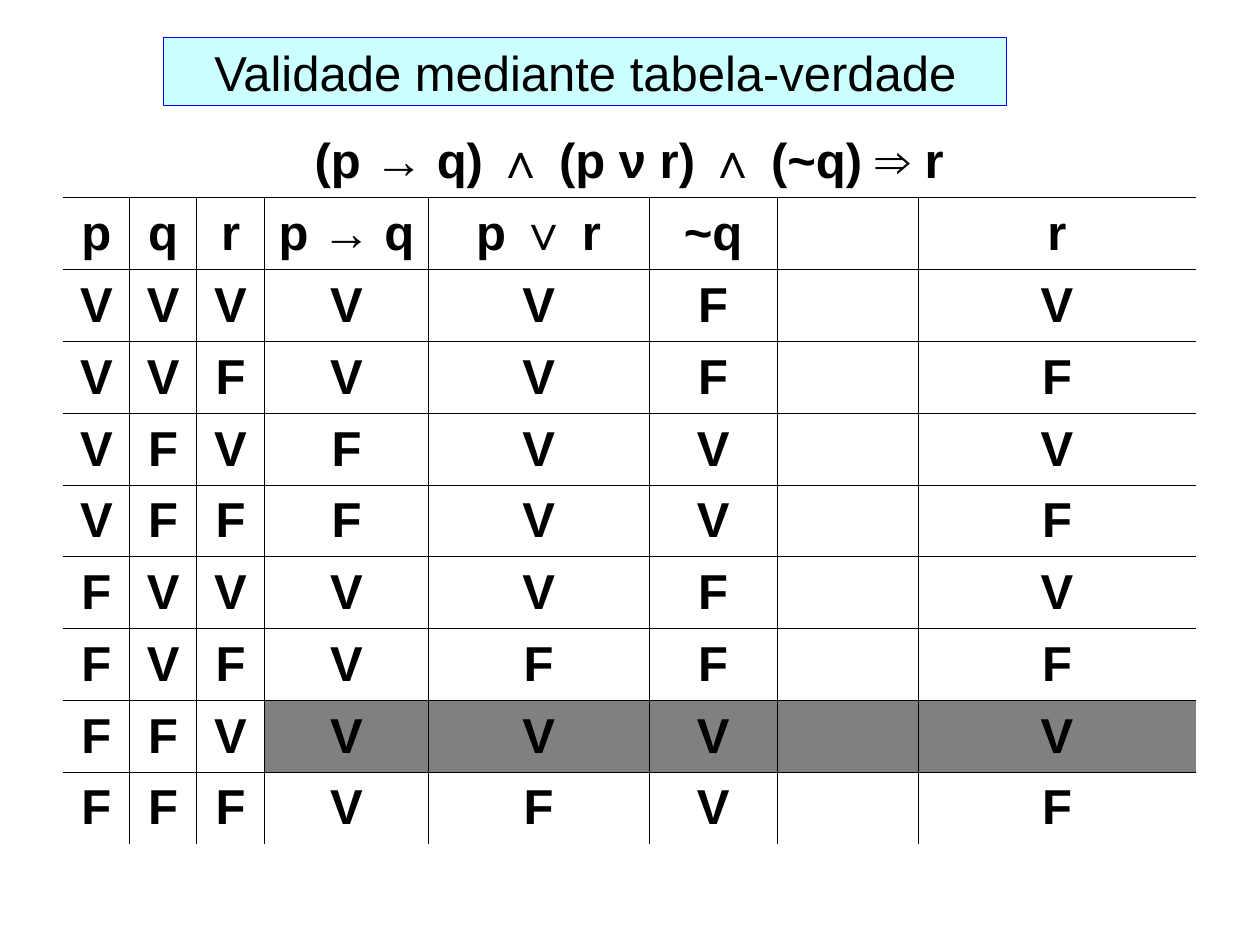
"""Build a slide that checks an argument's validity with a truth table."""
from collections.abc import Callable
from dataclasses import dataclass
from itertools import product

from lxml import etree
from pptx import Presentation
from pptx import util as u
from pptx.dml.color import RGBColor
from pptx.enum import text
from pptx.oxml import ns

BLACK = RGBColor(0x00, 0x00, 0x00)
WHITE = RGBColor(0xFF, 0xFF, 0xFF)
GRAY = RGBColor(0x80, 0x80, 0x80)
BLUE = RGBColor(0x00, 0x00, 0xFF)
CYAN = RGBColor(0xCC, 0xFF, 0xFF)
FONT = "Arial"
ROW_HEIGHT = 0.57
FORMULA = "(p → q) ∧ (p ν r) ∧ (~q) ⇒ r"


@dataclass(frozen=True)
class Column:
    header: str
    width: float
    rule: Callable[[bool, bool, bool], bool] | None
    fill: RGBColor | None = None


COLUMNS = [
    Column("p", 0.53, lambda p, q, r: p),
    Column("q", 0.53, lambda p, q, r: q),
    Column("r", 0.54, lambda p, q, r: r),
    Column("p → q", 1.3, lambda p, q, r: not p or q),
    Column("p ∨ r", 1.75, lambda p, q, r: p or r, WHITE),
    Column("~q", 1.02, lambda p, q, r: not q),
    Column("", 1.12, None),
    Column("r", 2.2, lambda p, q, r: r, WHITE),
]
VALUES = list(product((True, False), repeat=3))
PREMISES = COLUMNS[3:6]


def style_text(tf, wording: str, bold: bool) -> None:
    p = tf.paragraphs[0]
    p.text = wording
    p.alignment = text.PP_ALIGN.CENTER
    p.font.name = FONT
    p.font.size = u.Pt(28)
    p.font.bold = bold
    p.font.color.rgb = BLACK


def add_border(cell, side: str, visible: bool) -> None:
    ln = etree.SubElement(cell._tc.get_or_add_tcPr(), ns.qn(f"a:ln{side}"))
    ln.set("w", str(u.Pt(0.45)))
    if visible:
        fill = etree.SubElement(ln, ns.qn("a:solidFill"))
        etree.SubElement(fill, ns.qn("a:srgbClr")).set("val", str(BLACK))
    else:
        etree.SubElement(ln, ns.qn("a:noFill"))


def draw_cell(cell, wording: str, fill: RGBColor | None, edges: dict[str, bool]) -> None:
    for side, visible in edges.items():
        add_border(cell, side, visible)
    if fill is None:
        cell.fill.background()
    else:
        cell.fill.solid()
        cell.fill.fore_color.rgb = fill
    cell.vertical_anchor = text.MSO_ANCHOR.MIDDLE
    if wording:
        style_text(cell.text_frame, wording, True)


def draw_title(s) -> None:
    sp = s.shapes.title
    sp.left, sp.top = u.Inches(1.3), u.Inches(0.3)
    sp.width, sp.height = u.Inches(6.69), u.Inches(0.54)
    sp.fill.solid()
    sp.fill.fore_color.rgb = CYAN
    sp.line.color.rgb = BLUE
    sp.line.width = u.Pt(0.75)
    sp.text_frame.vertical_anchor = text.MSO_ANCHOR.MIDDLE
    style_text(sp.text_frame, "Validade mediante tabela-verdade", False)


def body_cell(column: Column, values: tuple[bool, bool, bool]) -> tuple[str, RGBColor | None]:
    valid = all(premise.rule(*values) for premise in PREMISES)
    fill = GRAY if valid and column not in COLUMNS[:3] else column.fill
    if column.rule is None:
        return "", fill
    return "V" if column.rule(*values) else "F", fill


def draw_truth_table(s) -> None:
    rows = [[("", None)] * len(COLUMNS), [(c.header, c.fill) for c in COLUMNS]]
    rows += [[body_cell(c, values) for c in COLUMNS] for values in VALUES]
    rows[0][0] = (FORMULA, None)
    table = s.shapes.add_table(
        len(rows), len(COLUMNS), u.Inches(0.5), u.Inches(1),
        u.Inches(9), u.Inches(ROW_HEIGHT * len(rows)),
    ).table
    table.first_row = table.horz_banding = False
    for column, c in zip(table.columns, COLUMNS):
        column.width = u.Inches(c.width)
    for row in table.rows:
        row.height = u.Inches(ROW_HEIGHT)
    table.cell(0, 0).merge(table.cell(0, len(COLUMNS) - 1))
    for i, row in enumerate(rows):
        for j, (wording, fill) in enumerate(row):
            edges = {
                "L": i > 0 and j > 0,
                "R": i > 0 and j < len(COLUMNS) - 1,
                "T": i > 0,
                "B": i < len(rows) - 1,
            }
            draw_cell(table.cell(i, j), wording, fill, edges)


def main() -> None:
    prs = Presentation()
    prs.slide_width, prs.slide_height = u.Inches(10), u.Inches(7.5)
    s = prs.slides.add_slide(prs.slide_layouts[5])
    draw_title(s)
    draw_truth_table(s)
    prs.save("out.pptx")


if __name__ == "__main__":
    main()
